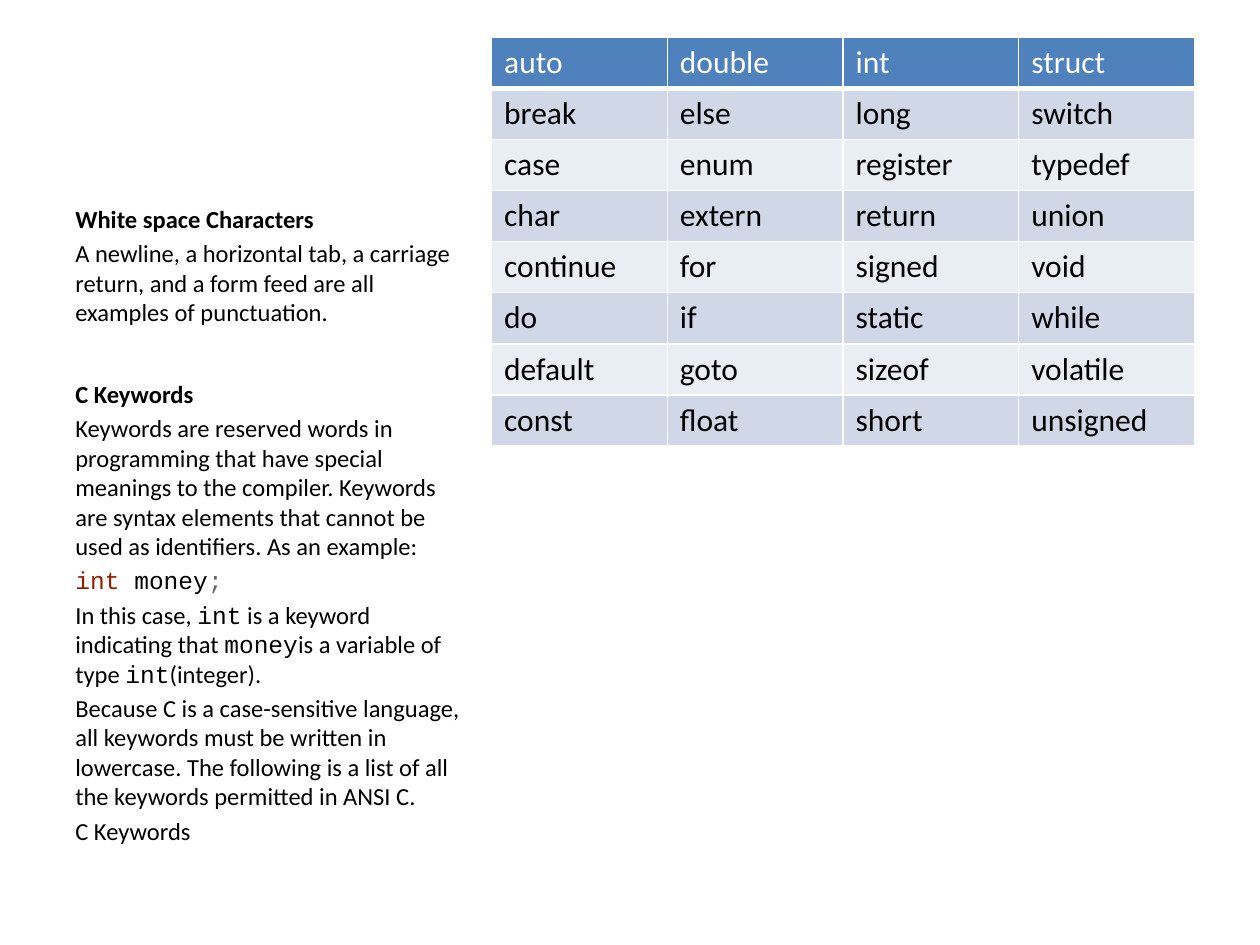
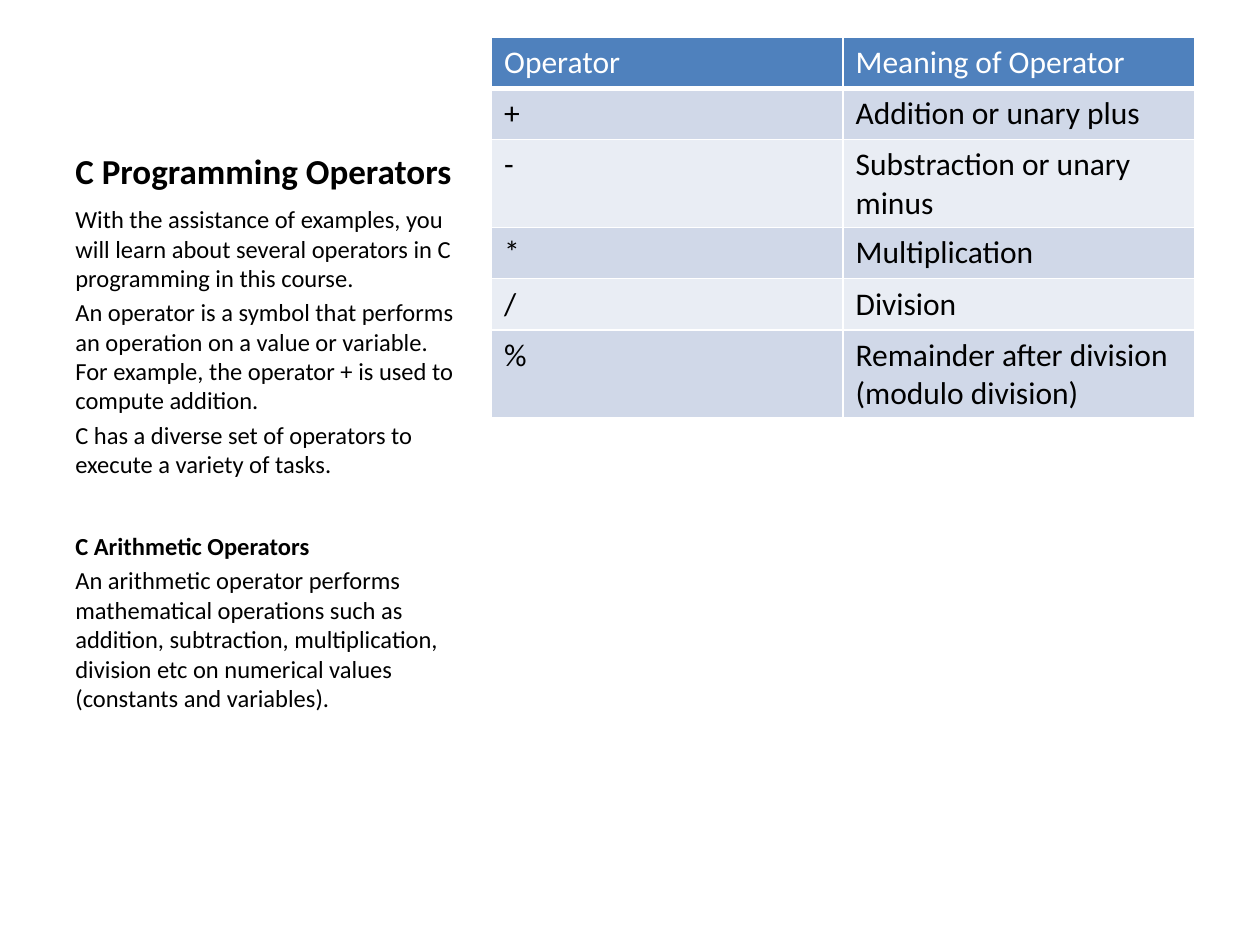
from lxml import etree
from pptx import Presentation
from pptx.dml.color import RGBColor
from pptx.enum.text import MSO_ANCHOR
from pptx.oxml.ns import qn
from pptx.util import Cm, Pt

TOP, BOTTOM = MSO_ANCHOR.TOP, MSO_ANCHOR.BOTTOM
BLACK, WHITE, BLUE = "000000", "FFFFFF", "4F81BD"
BANDS = ["D0D8E8", "E9EDF4"]
LEFT, WIDE = 1.27, 8.36
ROW, FULL = 1.03, 14.17

BODY = {"name": "Calibri", "size": Pt(14), "bold": False}
HEAD = {**BODY, "bold": True}
CODE = {**BODY, "name": "Courier New"}
TITLE = {**HEAD, "size": Pt(20)}
CELL = {**BODY, "size": Pt(18)}


def put(para, text, look, color=BLACK):
    run = para.add_run()
    run.text = text
    for key, value in look.items():
        setattr(run.font, key, value)
    run.font.color.rgb = RGBColor.from_string(color)


def write(slide, top, tall, anchor, paras):
    box = slide.shapes.add_textbox(Cm(LEFT), Cm(top), Cm(WIDE), Cm(tall))
    frame = box.text_frame
    frame.word_wrap = True
    frame.vertical_anchor = anchor
    for i, (gap, runs) in enumerate(paras):
        para = frame.add_paragraph() if i else frame.paragraphs[0]
        para.space_before = Pt(gap)
        for run in runs:
            put(para, *run)


words = [
    (2.8, [("White space Characters", HEAD)]),
    (2.8, [("A newline, a horizontal tab, a carriage return, and a form feed "
            "are all examples of punctuation.", BODY)]),
    (30, [("C Keywords", HEAD)]),
    (2.8, [("Keywords are reserved words in programming that have special "
            "meanings to the compiler. Keywords are syntax elements that "
            "cannot be used as identifiers. As an example:", BODY)]),
    (2.8, [("int", CODE, "902000"), (" money", CODE), (";", CODE, "666666")]),
    (2.8, [("In this case, ", BODY), ("int", CODE),
           (" is a keyword indicating that ", BODY), ("money", CODE),
           ("is a variable of type ", BODY), ("int", CODE),
           ("(integer).", BODY)]),
    (2.8, [("Because C is a case-sensitive language, all keywords must be "
            "written in lowercase. The following is a list of all the "
            "keywords permitted in ANSI C.", BODY)]),
    (2.8, [("C Keywords", BODY)]),
]
signs = [
    (2.8, [("With the assistance of examples, you will learn about several "
            "operators in C programming in this course.", BODY)]),
    (2.8, [("An operator is a symbol that performs an operation on a value or "
            "variable. For example, the operator + is used to compute "
            "addition.", BODY)]),
    (2.8, [("C has a diverse set of operators to execute a variety of "
            "tasks.", BODY)]),
    (30, [("C Arithmetic Operators", HEAD)]),
    (2.8, [("An arithmetic operator performs mathematical operations such as "
            "addition, subtraction, multiplication, division etc on numerical "
            "values (constants and variables).", BODY)]),
]
keys = [
    ["auto", "double", "int", "struct"],
    ["break", "else", "long", "switch"],
    ["case", "enum", "register", "typedef"],
    ["char", "extern", "return", "union"],
    ["continue", "for", "signed", "void"],
    ["do", "if", "static", "while"],
    ["default", "goto", "sizeof", "volatile"],
    ["const", "float", "short", "unsigned"],
]
maths = [
    ["Operator", "Meaning of Operator"],
    ["+", "Addition or unary plus"],
    ["-", "Substraction or unary minus"],
    ["*", "Multiplication"],
    ["/", "Division"],
    ["%", "Remainder after division (modulo division)"],
]

deck = Presentation()
deck.slide_width, deck.slide_height = Cm(25.4), Cm(19.05)

for title, paras, rows in [("", words, keys),
                           ("C Programming Operators", signs, maths)]:
    slide = deck.slides.add_slide(deck.slide_layouts[6])
    if title:
        write(slide, 0.76, 3.23, BOTTOM, [(0, [(title, TITLE)])])
    write(slide, 3.99, 13.03, TOP, paras)

    count = len(rows[0])
    table = slide.shapes.add_table(len(rows), count, Cm(9.91), Cm(0.75),
                                   Cm(FULL), Cm(ROW * len(rows))).table
    for col in table.columns:
        col.width = Cm(FULL / count)
    for r, row in enumerate(rows):
        table.rows[r].height = Cm(ROW)
        for c, text in enumerate(row):
            cell = table.cell(r, c)
            props = cell._tc.get_or_add_tcPr()
            for side in ["lnL", "lnR", "lnT", "lnB"]:
                thick = 3 if r == 0 and side == "lnB" else 1
                line = etree.SubElement(props, qn("a:" + side),
                                        w=str(Pt(thick)))
                fill = etree.SubElement(line, qn("a:solidFill"))
                etree.SubElement(fill, qn("a:srgbClr"), val=WHITE)
            cell.fill.solid()
            shade = BANDS[(r - 1) % 2] if r else BLUE
            cell.fill.fore_color.rgb = RGBColor.from_string(shade)
            put(cell.text_frame.paragraphs[0], text, CELL,
                BLACK if r else WHITE)

deck.save("out.pptx")
